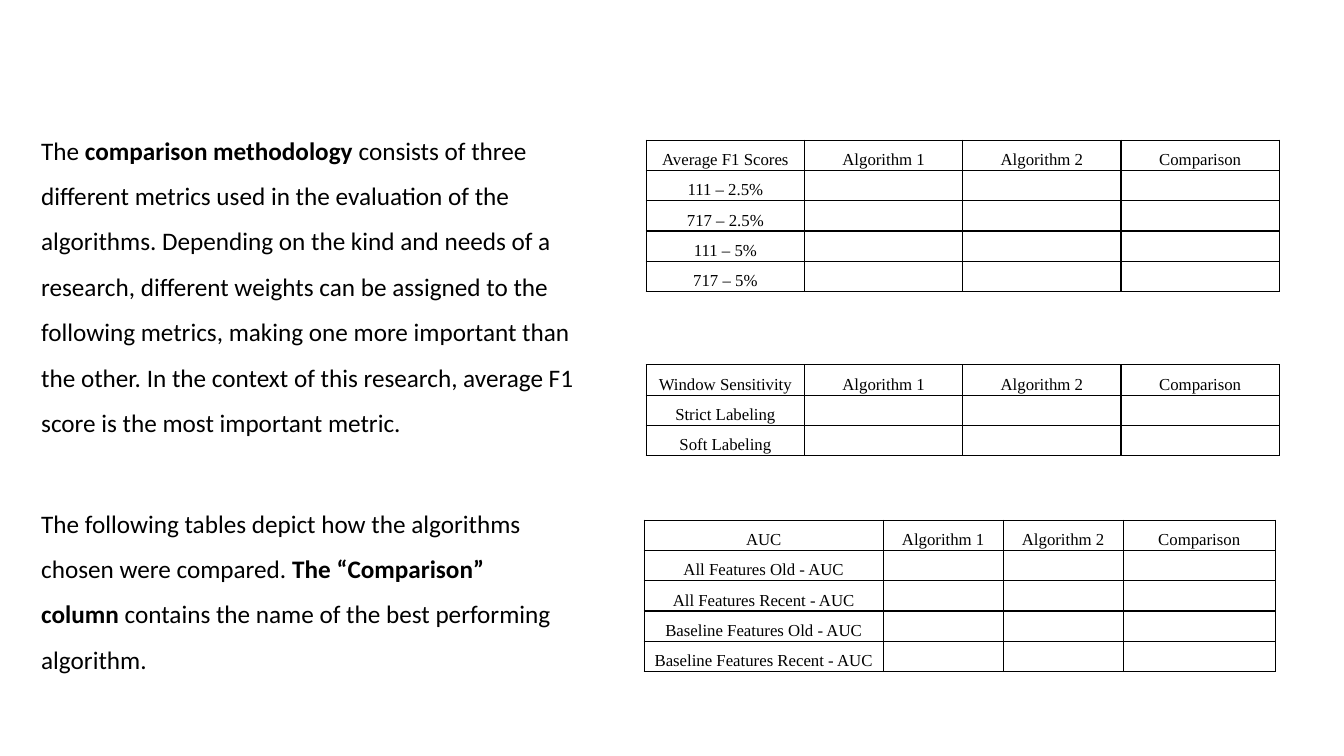
"""Build the slide on the comparison methodology and its three tables."""
import pptx
import pptx.util
import pptx.dml.color
import pptx.enum.text
import pptx.oxml.ns
from lxml import etree

Inches = pptx.util.Inches
Pt = pptx.util.Pt
qn = pptx.oxml.ns.qn
HUES = {"ink": "000000"}
INK = pptx.dml.color.RGBColor.from_string(HUES["ink"])


def style(par, face, size):
    par.line_spacing = 1.5
    par.font.name = face
    par.font.size = Pt(size)
    par.font.color.rgb = INK


def frame(cell):
    props = cell._tc.get_or_add_tcPr()
    for spot, side in enumerate(("lnL", "lnR", "lnT", "lnB")):
        line = etree.Element(qn("a:" + side), w=str(Pt(1)))
        fill = etree.SubElement(line, qn("a:solidFill"))
        etree.SubElement(fill, qn("a:srgbClr"), val=HUES["ink"])
        props.insert(spot, line)


deck = pptx.Presentation()
deck.slide_width = Inches(13.33)
deck.slide_height = Inches(7.5)
slide = deck.slides.add_slide(deck.slide_layouts[6])

notes = [
    (1.14, 5.68, 3.28, [
        ("The ", False),
        ("comparison methodology ", True),
        ("consists of three different metrics used in the evaluation of the "
         "algorithms. Depending on the kind and needs of a research, different "
         "weights can be assigned to the following metrics, making one more "
         "important than the other. In the context of this research, average "
         "F1 score is the most important metric.", False)]),
    (4.84, 5.28, 1.87, [
        ("The following tables depict how the algorithms chosen were "
         "compared. ", False),
        ("The “Comparison” column ", True),
        ("contains the name of the best performing algorithm.", False)]),
]
for top, width, height, parts in notes:
    box = slide.shapes.add_textbox(
        Inches(0.31), Inches(top), Inches(width), Inches(height))
    box.text_frame.word_wrap = True
    box.text_frame.auto_size = pptx.enum.text.MSO_AUTO_SIZE.SHAPE_TO_FIT_TEXT
    par = box.text_frame.paragraphs[0]
    style(par, "Calibri", 18)
    for words, bold in parts:
        run = par.add_run()
        run.text = words
        run.font.bold = bold

heads = ["Algorithm 1", "Algorithm 2", "Comparison"]
even = [1.57] * 4
grids = [
    (6.41, 1.39, even, ["Average F1 Scores", "111 – 2.5%", "717 – 2.5%",
                        "111 – 5%", "717 – 5%"]),
    (6.41, 3.62, even, ["Window Sensitivity", "Strict Labeling",
                        "Soft Labeling"]),
    (6.39, 5.16, [2.37, 1.19, 1.19, 1.51],
     ["AUC", "All Features Old - AUC", "All Features Recent - AUC",
      "Baseline Features Old - AUC", "Baseline Features Recent - AUC"]),
]
for left, top, widths, labels in grids:
    table = slide.shapes.add_table(
        len(labels), len(widths), Inches(left), Inches(top),
        Inches(sum(widths)), Inches(0.3 * len(labels))).table
    table.first_row = False
    table.horz_banding = False
    for col, width in zip(table.columns, widths):
        col.width = Inches(width)
    for r, label in enumerate(labels):
        table.rows[r].height = Inches(0.3)
        row = [label] + (heads if r == 0 else [""] * len(heads))
        for c, words in enumerate(row):
            cell = table.cell(r, c)
            cell.fill.background()
            cell.margin_left = cell.margin_right = Inches(0.07)
            cell.margin_top = cell.margin_bottom = 0
            cell.vertical_anchor = pptx.enum.text.MSO_ANCHOR.MIDDLE
            frame(cell)
            par = cell.text_frame.paragraphs[0]
            par.alignment = pptx.enum.text.PP_ALIGN.CENTER
            style(par, "Times New Roman", 12)
            if words:
                par.add_run().text = words
            else:
                etree.SubElement(par._p, qn("a:endParaRPr"), sz="1200")

deck.save("out.pptx")
